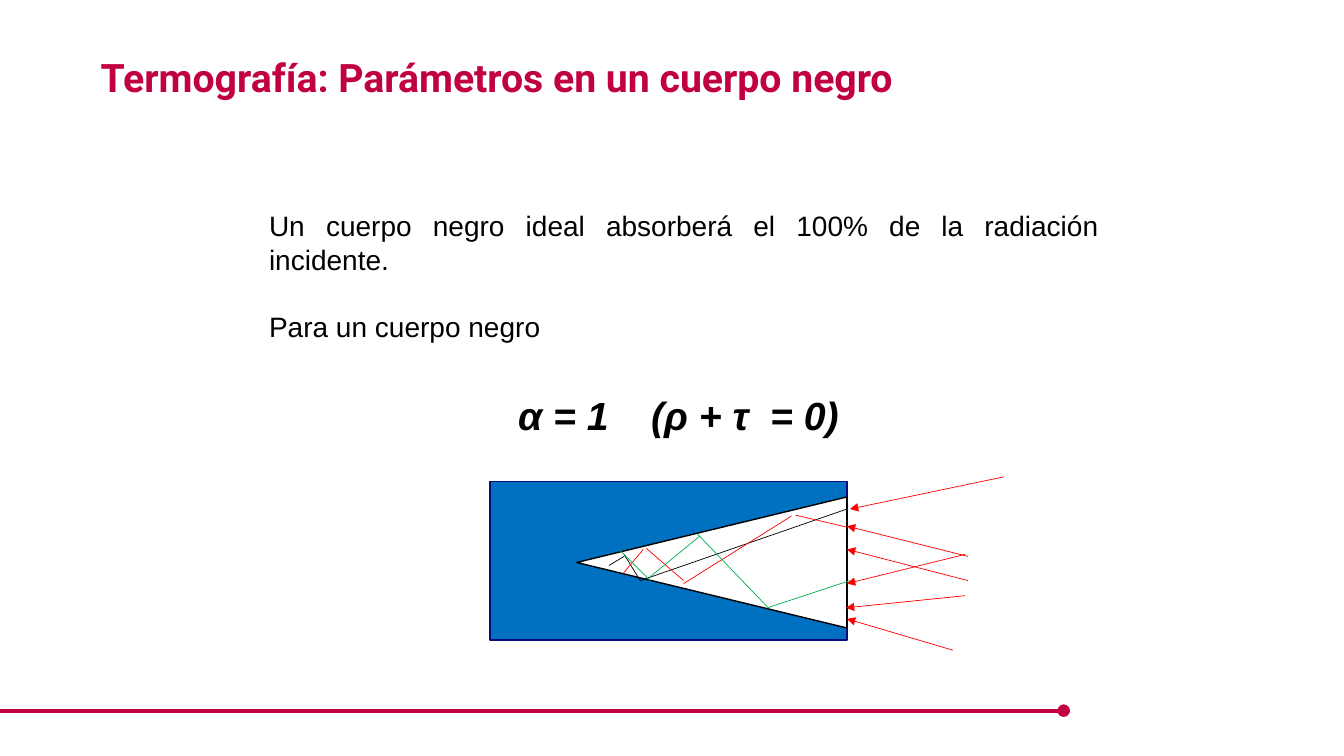
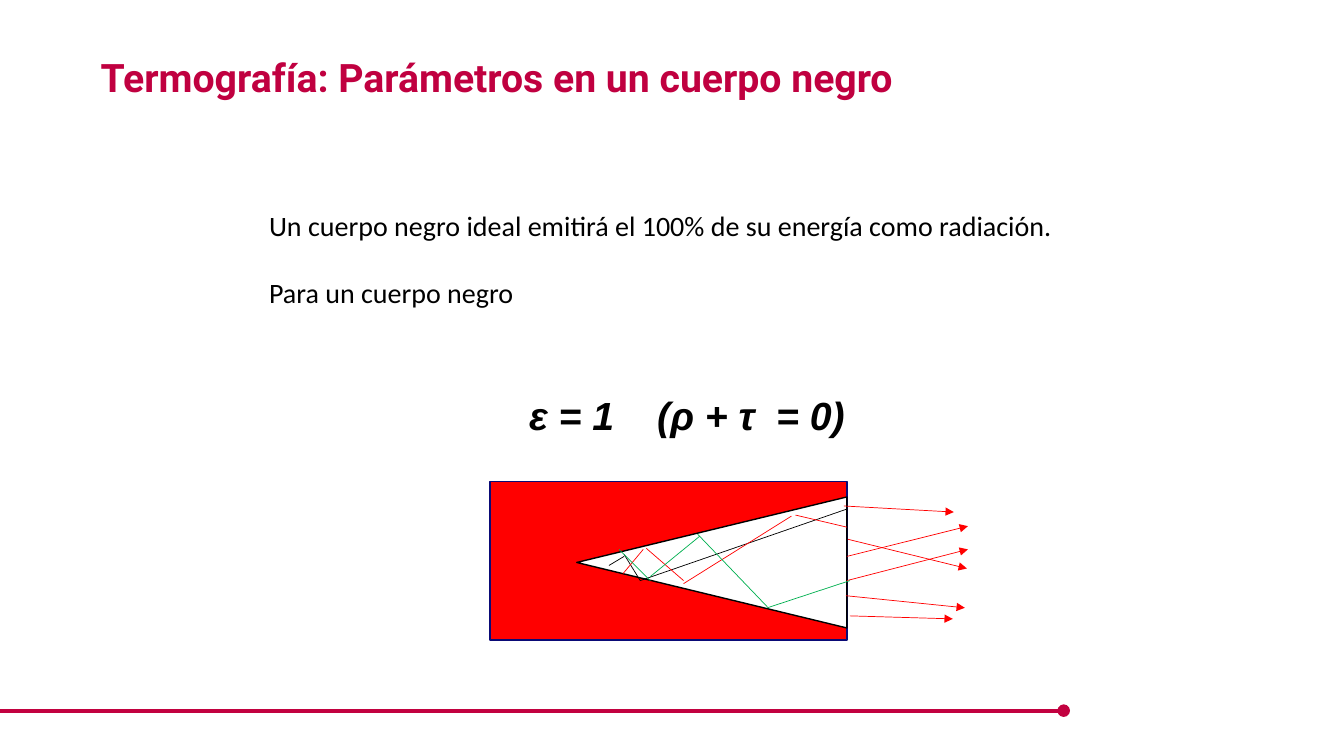
from lxml.etree import SubElement
from pptx import Presentation
from pptx.dml.color import RGBColor
from pptx.enum.shapes import MSO_CONNECTOR, MSO_SHAPE
from pptx.enum.text import PP_ALIGN
from pptx.oxml.ns import qn
from pptx.util import Emu, Pt

PX = 9144  # 100 px to the inch

CRIMSON = RGBColor(0xC2, 0x01, 0x40)
TITLE_RED = RGBColor(0xC0, 0x00, 0x40)
BLACK = RGBColor(0, 0, 0)
WHITE = RGBColor(0xFF, 0xFF, 0xFF)
RED = RGBColor(0xFF, 0, 0)
GREEN = RGBColor(0, 0xB0, 0x50)
BLUE = RGBColor(0, 0x70, 0xC0)
NAVY = RGBColor(0x0A, 0x0A, 0x76)

# Content: tabs are measured from the left edge of the formula text
TITLE = "Termografía: Parámetros en un cuerpo negro"
SLIDES = [
    dict(
        body=["Un cuerpo negro ideal absorberá el 100% de la radiación incidente.",
              "Para un cuerpo negro"],
        body_font="Arial",
        formula="α = 1\t(ρ + τ\t= 0)", formula_left=504, tabs=(132, 250),
        body_fill=BLUE,
        arrows=[(996, 473, 843, 505), (960, 552, 840, 522), (960, 576, 840, 545),
                (957, 550, 840, 579), (957, 591, 839, 603), (945, 645, 840, 614)],
    ),
    dict(
        body=["Un cuerpo negro ideal emitirá el 100% de su energía como radiación.",
              "Para un cuerpo negro"],
        body_font="Calibri",
        formula="ε = 1\t(ρ + τ\t= 0)", formula_left=515, tabs=(127, 245),
        body_fill=RED,
        arrows=[(837, 502, 946, 508), (840, 552, 960, 522), (840, 576, 960, 545),
                (841, 535, 959, 564), (839, 591, 957, 603), (843, 611, 945, 614)],
    ),
]

# Reflections inside the cavity, the same on both slides
REFLECTIONS = [
    (BLACK, [(840, 505, 635, 576), (635, 576, 619, 550), (619, 552, 604, 561)]),
    (RED, [(840, 523, 789, 511), (785, 512, 678, 579), (678, 576, 641, 544),
           (638, 545, 618, 569)]),
    (GREEN, [(843, 576, 761, 603), (761, 602, 692, 530), (694, 532, 645, 572),
             (645, 576, 614, 545)]),
]


def px(*values):
    return [Emu(v * PX) for v in values]


def add_text(slide, box, paragraphs, font, size, color, bold=False, italic=False):
    tf = slide.shapes.add_textbox(*px(*box)).text_frame
    tf.word_wrap = True
    for i, text in enumerate(paragraphs):
        p = tf.add_paragraph() if i else tf.paragraphs[0]
        p.text = text
        for r in p.runs:
            r.font.name, r.font.size = font, Pt(size)
            r.font.bold, r.font.italic = bold, italic
            r.font.color.rgb = color
    return tf


def add_shape(slide, kind, box, fill, line):
    sp = slide.shapes.add_shape(kind, *px(*box))
    sp.shadow.inherit = False
    sp.fill.solid()
    sp.fill.fore_color.rgb = fill
    sp.line.color.rgb = line
    sp.line.width = Pt(1)
    return sp


def add_line(slide, ends, color, width=0.5, head=None, tail=None):
    line = slide.shapes.add_connector(MSO_CONNECTOR.STRAIGHT, *px(*ends))
    line.line.color.rgb = color
    line.line.width = Pt(width)
    ln = line.line._get_or_add_ln()
    for tag, kind in (("a:headEnd", head), ("a:tailEnd", tail)):
        if kind:
            SubElement(ln, qn(tag), type=kind)
    SubElement(line._element.spPr, qn("a:effectLst"))


def add_tabs(p, stops):
    tab_list = SubElement(p._p.get_or_add_pPr(), qn("a:tabLst"))
    for stop in stops:
        SubElement(tab_list, qn("a:tab"), pos=str(stop * PX), algn="l")


def add_frame(slide):
    """Footer line and title shared by the slides."""
    add_line(slide, (1055, 705, 0, 705), CRIMSON, 3, head="oval")
    add_text(slide, (90, 48, 1004, 57), [TITLE], "Roboto", 28, TITLE_RED, bold=True)


def add_cavity(slide, fill, arrows):
    add_shape(slide, MSO_SHAPE.RECTANGLE, (486, 478, 354, 157), fill, NAVY)
    cone = add_shape(slide, MSO_SHAPE.ISOSCELES_TRIANGLE, (641, 424, 130, 268),
                     WHITE, BLACK)
    cone.rotation = 270
    for ends in arrows:
        add_line(slide, ends, RED, tail="triangle")
    for color, segments in REFLECTIONS:
        for ends in segments:
            add_line(slide, ends, color)


def main():
    prs = Presentation()
    prs.slide_width, prs.slide_height = px(1333, 750)
    for data in SLIDES:
        slide = prs.slides.add_slide(prs.slide_layouts[6])
        add_frame(slide)
        add_cavity(slide, data["body_fill"], data["arrows"])

        # Formula
        tf = add_text(slide, (data["formula_left"], 383, 348, 57), [data["formula"]],
                      "Arial", 28, BLACK, bold=True, italic=True)
        add_tabs(tf.paragraphs[0], data["tabs"])

        # Explanation
        tf = add_text(slide, (257, 202, 843, 170), data["body"],
                      data["body_font"], 20, BLACK)
        for p in tf.paragraphs:
            p.alignment = PP_ALIGN.JUSTIFY
        tf.paragraphs[-1].space_before = Pt(24)
    prs.save("out.pptx")


if __name__ == "__main__":
    main()
